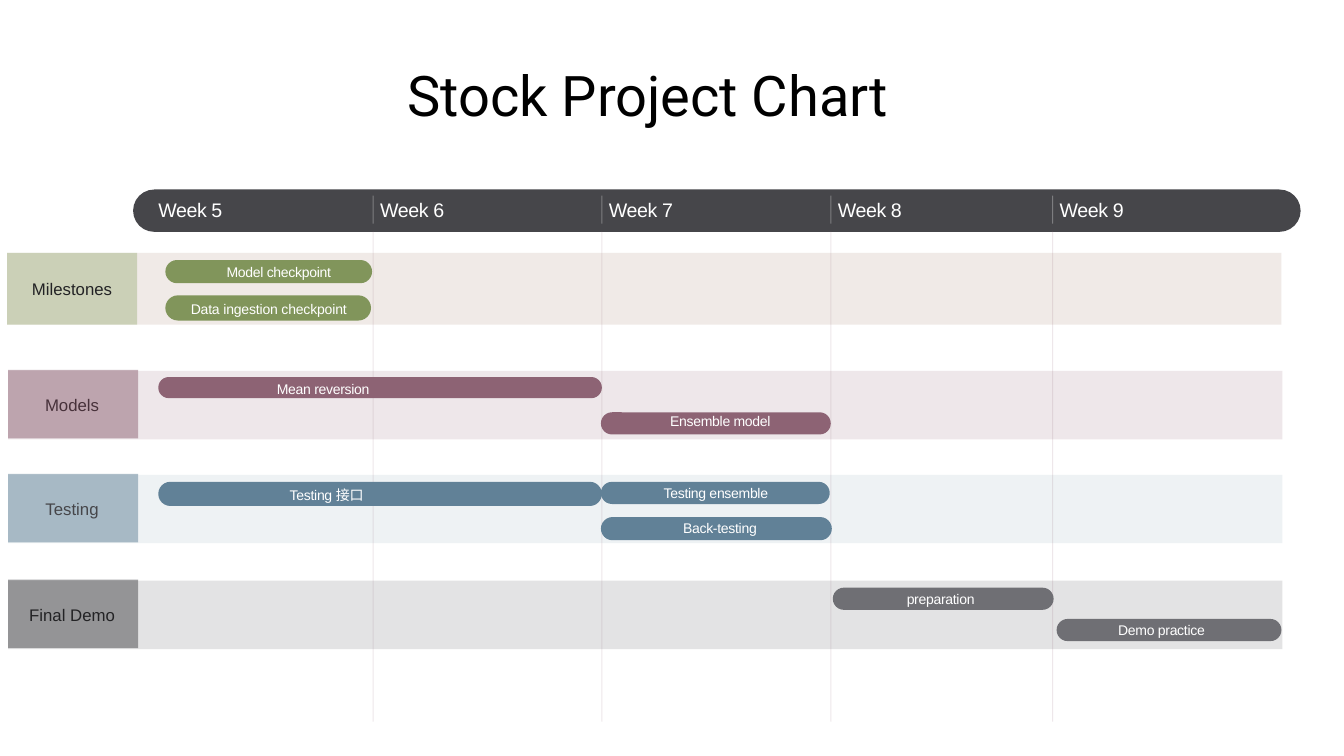
from lxml import etree
from pptx import Presentation
from pptx.dml.color import RGBColor
from pptx.enum.shapes import MSO_CONNECTOR, MSO_SHAPE
from pptx.enum.text import MSO_ANCHOR, PP_ALIGN
from pptx.oxml.ns import qn
from pptx.util import Inches, Pt

RECT = MSO_SHAPE.RECTANGLE
PILL = MSO_SHAPE.ROUNDED_RECTANGLE
STRAIGHT = MSO_CONNECTOR.STRAIGHT
MIDDLE = MSO_ANCHOR.MIDDLE
LEFT, CENTER = PP_ALIGN.LEFT, PP_ALIGN.CENTER

DARK, GREEN, PLUM, BLUE, GREY = "46464A", "81955B", "8D6374", "618197", "6F6F74"
WHITE = "FFFFFF"

prs = Presentation()
prs.slide_width, prs.slide_height = Inches(13.33), Inches(7.5)
slide = prs.slides.add_slide(prs.slide_layouts[6])


def add_block(kind, box, color, alpha=100):
    sp = slide.shapes.add_shape(kind, *map(Inches, box))
    sp.shadow.inherit = False
    sp.line.fill.background()
    sp.fill.solid()
    sp.fill.fore_color.rgb = RGBColor.from_string(color)
    if kind == PILL:
        sp.adjustments[0] = 0.5
    if alpha < 100:
        clr = sp._element.spPr.find(".//" + qn("a:srgbClr"))
        etree.SubElement(clr, qn("a:alpha"), val=str(alpha * 1000))


def add_text(text, box, size, color, align=CENTER, font="Arial", spacing=0):
    tf = slide.shapes.add_textbox(*map(Inches, box)).text_frame
    tf.word_wrap = True
    tf.vertical_anchor = MIDDLE
    tf.margin_left = tf.margin_top = tf.margin_right = tf.margin_bottom = 0
    p = tf.paragraphs[0]
    p.alignment = align
    p.font.size, p.font.name = Pt(size), font
    p.font.color.rgb = RGBColor.from_string(color)
    r = p.add_run()
    r.text = text
    if spacing:
        r._r.get_or_add_rPr().set("spc", str(spacing))


rows = [
    ("Milestones", 0.07, 2.51, 2.51, 0.71, "9B7362", "A7B789", 2.6, "232325"),
    ("Models", 0.08, 3.68, 3.67, 0.68, PLUM, PLUM, 3.75, "47313A"),
    ("Testing", 0.08, 4.71, 4.7, 0.68, "92A9B9", BLUE, 4.78, DARK),
    ("Final Demo", 0.08, 5.76, 5.75, 0.68, DARK, DARK, 5.83, "232325"),
]
for name, left, band_top, label_top, height, band, label, text_top, ink in rows:
    add_block(RECT, (left, band_top, 12.64, height), band, 15)

add_block(PILL, (1.32, 1.88, 11.58, 0.42), DARK)

for name, left, band_top, label_top, height, band, label, text_top, ink in rows:
    add_block(RECT, (left, label_top, 1.29, height), label, 50)
    add_text(name, (0.07, text_top, 1.29, 0.54), 12, ink)

week_lines = [3.7, 5.97, 8.24, 10.44]
for top, bottom, color, alpha in [(2.29, 7.16, PLUM, 15), (1.94, 2.22, WHITE, 30)]:
    for x in week_lines:
        line = slide.shapes.add_connector(
            STRAIGHT, Inches(x), Inches(top), Inches(x), Inches(bottom))
        line.line.width = Pt(0.75)
        line.line.color.rgb = RGBColor.from_string(color)
        spPr = line._element.spPr
        clr = spPr.find(".//" + qn("a:srgbClr"))
        etree.SubElement(clr, qn("a:alpha"), val=str(alpha * 1000))
        etree.SubElement(spPr, qn("a:effectLst"))

for week, x in enumerate([1.57] + [x + 0.07 for x in week_lines], 5):
    add_text(f"Week {week}", (x, 1.94, 0.94, 0.28), 14, WHITE, LEFT, spacing=-30)

tasks = [
    ("Model checkpoint", GREEN, (1.64, 2.58, 2.05, 0.23), (2.1, 2.58, 1.33, 0.23)),
    ("Data ingestion checkpoint", GREEN, (1.64, 2.93, 2.04, 0.25), (1.67, 2.95, 1.99, 0.22)),
    ("Mean reversion", PLUM, (1.57, 3.74, 4.4, 0.21), (2.72, 3.75, 0.97, 0.22)),
    ("Ensemble model", PLUM, (5.96, 4.09, 2.28, 0.22), (6.51, 4.07, 1.27, 0.22)),
    ("Testing 接口", BLUE, (1.57, 4.78, 4.4, 0.24), (2.26, 4.78, 1.96, 0.26)),
    ("Testing ensemble", BLUE, (5.96, 4.78, 2.27, 0.22), (6.2, 4.76, 1.8, 0.25)),
    ("Back-testing", BLUE, (5.96, 5.13, 2.29, 0.23), (6.68, 5.1, 0.92, 0.28)),
    ("preparation", GREY, (8.26, 5.83, 2.19, 0.22), (8.8, 5.86, 1.06, 0.17)),
    ("Demo practice", GREY, (10.48, 6.14, 2.23, 0.22), (10.71, 6.14, 1.62, 0.22)),
]
for name, color, bar, label in tasks:
    add_block(PILL, bar, color)
    spacing = -10 if name.startswith("Data") else -20
    add_text(name, label, 10, WHITE, spacing=spacing)

add_text("Stock Project Chart", (1.64, 0.55, 9.57, 0.77), 40, "000000", font="Roboto")

prs.save("out.pptx")
